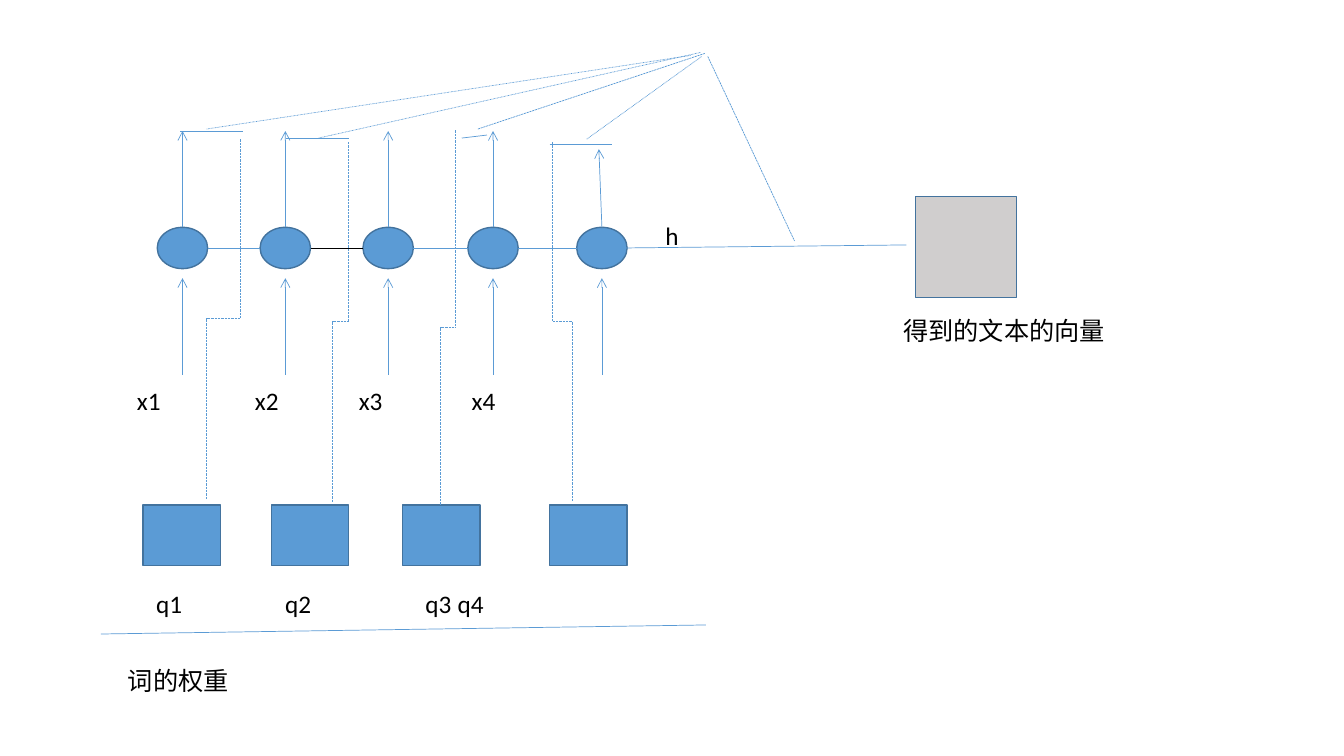
from pptx import Presentation, util as u
from pptx.dml.color import RGBColor
from pptx.enum import dml, shapes, text
from pptx.oxml.ns import qn
from lxml import etree

COLORS = {"blue": "5B9BD5", "edge": "43739E", "grey": "D0CECE", "black": "000000"}
FONT, SIZE = "Calibri", 18
DOT, DASH = dml.MSO_LINE.ROUND_DOT, dml.MSO_LINE.SQUARE_DOT

NODE_W, NODE_H, NODE_Y = 0.5, 0.41, 2.46
NODE_CENTERS = [1.81, 2.83, 3.85, 4.89, 5.97]
LINK_COLORS = ["blue", "black", "blue", "blue"]
OUTPUT_TIPS = [(1.81, 1.3), (2.83, 1.3), (3.85, 1.3), (4.89, 1.3), (5.94, 1.48)]
INPUT_BOTTOM, INPUT_TOP = 3.72, 2.76

WEIGHT_W, WEIGHT_H, WEIGHT_TOP = 0.77, 0.6, 5.01
WEIGHT_LEFTS = [1.42, 2.69, 3.99, 5.45]
WEIGHT_PATHS = [
    ((2.05, 4.95), (2.38, 1.37)),
    ((3.3, 4.98), (3.46, 1.4)),
    ((4.37, 5.21), (4.52, 1.29)),
    ((5.68, 4.97), (5.48, 1.41)),
]
OUTPUT_BARS = [
    ((1.79, 1.3), (2.41, 1.3)),
    ((2.84, 1.37), (3.46, 1.37)),
    ((4.58, 1.37), (4.83, 1.34)),
    ((5.45, 1.43), (6.07, 1.43)),
]
SUM_LINES = [
    ((2.05, 1.28), (6.85, 0.55), DOT),
    ((3.16, 1.37), (6.95, 0.52), DOT),
    ((4.74, 1.28), (6.99, 0.53), DASH),
    ((5.82, 1.38), (6.96, 0.56), DOT),
    ((7.02, 0.56), (7.88, 2.39), DASH),
]
RESULT_LINE = ((6.21, 2.46), (8.99, 2.43))
BASE_LINE = ((1, 6.29), (7, 6.2))
RESULT_BOX = (9.08, 1.95, 1, 1)

LABELS = [
    ("h", 6.5, 2.14, 0.78),
    ("x1", 1.26, 3.77, 0.79),
    ("x2", 2.43, 3.77, 0.79),
    ("x3", 3.46, 3.77, 0.79),
    ("x4", 4.58, 3.77, 0.79),
    ("词的权重", 1.17, 6.55, 5.63),
    ("得到的文本的向量", 8.86, 3.08, 2.62),
]
WEIGHT_LABEL = ("q1\tq2\tq3\tq4", 1.45, 5.79, 4.79)
WEIGHT_TABS = [1.28, 2.67, 2.99]

deck = Presentation()
deck.slide_width, deck.slide_height = u.Inches(13.33), u.Inches(7.5)
page = deck.slides.add_slide(deck.slide_layouts[6])


def color(name):
    return RGBColor.from_string(COLORS[name])


def add_block(kind, left, top, width, height, fill="blue"):
    block = page.shapes.add_shape(kind, *map(u.Inches, (left, top, width, height)))
    block.shadow.inherit = False
    block.fill.solid()
    block.fill.fore_color.rgb = color(fill)
    block.line.color.rgb = color("edge")
    block.line.width = u.Pt(1)


def add_line(start, end, name="blue", dash=None, arrow=False,
             kind=shapes.MSO_CONNECTOR.STRAIGHT):
    line = page.shapes.add_connector(kind, *map(u.Inches, (*start, *end)))
    line.line.color.rgb = color(name)
    line.line.width = u.Pt(0.5)
    if dash:
        line.line.dash_style = dash
    properties = line.element.spPr
    if arrow:
        etree.SubElement(properties.find(qn("a:ln")), qn("a:tailEnd"), type="arrow")
    etree.SubElement(properties, qn("a:effectLst"))
    return line


def add_upright_elbow(start, end):
    (x1, y1), (x2, y2) = start, end
    middle_x, middle_y = (x1 + x2) / 2, (y1 + y2) / 2
    half_run, half_step = (y1 - y2) / 2, (x2 - x1) / 2
    elbow = add_line((middle_x - half_run, middle_y - half_step),
                     (middle_x + half_run, middle_y + half_step),
                     dash=DOT, kind=shapes.MSO_CONNECTOR.ELBOW)
    elbow.element.spPr.find(qn("a:xfrm")).set("rot", str(270 * 60000))


def add_label(words, left, top, width, height=0.4):
    box = page.shapes.add_textbox(*map(u.Inches, (left, top, width, height)))
    box.text_frame.word_wrap = True
    box.text_frame.auto_size = text.MSO_AUTO_SIZE.SHAPE_TO_FIT_TEXT
    para = box.text_frame.paragraphs[0]
    para.text = words
    para.font.name, para.font.size = FONT, u.Pt(SIZE)
    para.font.color.rgb = color("black")
    return para


for center, tip in zip(NODE_CENTERS, OUTPUT_TIPS):
    add_block(shapes.MSO_SHAPE.OVAL, center - NODE_W / 2, NODE_Y - NODE_H / 2, NODE_W, NODE_H)
    add_line((center, NODE_Y - NODE_H / 2), tip, arrow=True)
    add_line((center, INPUT_BOTTOM), (center, INPUT_TOP), arrow=True)

for before, after, name in zip(NODE_CENTERS, NODE_CENTERS[1:], LINK_COLORS):
    add_line((before + NODE_W / 2, NODE_Y), (after - NODE_W / 2, NODE_Y), name)

for left in WEIGHT_LEFTS:
    add_block(shapes.MSO_SHAPE.RECTANGLE, left, WEIGHT_TOP, WEIGHT_W, WEIGHT_H)
for start, end in WEIGHT_PATHS:
    add_upright_elbow(start, end)
for start, end in [*OUTPUT_BARS, RESULT_LINE, BASE_LINE]:
    add_line(start, end)
for start, end, dash in SUM_LINES:
    add_line(start, end, dash=dash)

add_block(shapes.MSO_SHAPE.RECTANGLE, *RESULT_BOX, fill="grey")
for label in LABELS:
    add_label(*label)

weights = add_label(*WEIGHT_LABEL)
tabs = etree.Element(qn("a:tabLst"))
for stop in WEIGHT_TABS:
    etree.SubElement(tabs, qn("a:tab"), pos=str(u.Inches(stop)), algn="l")
weights._p.get_or_add_pPr().insert(0, tabs)

deck.save("out.pptx")
